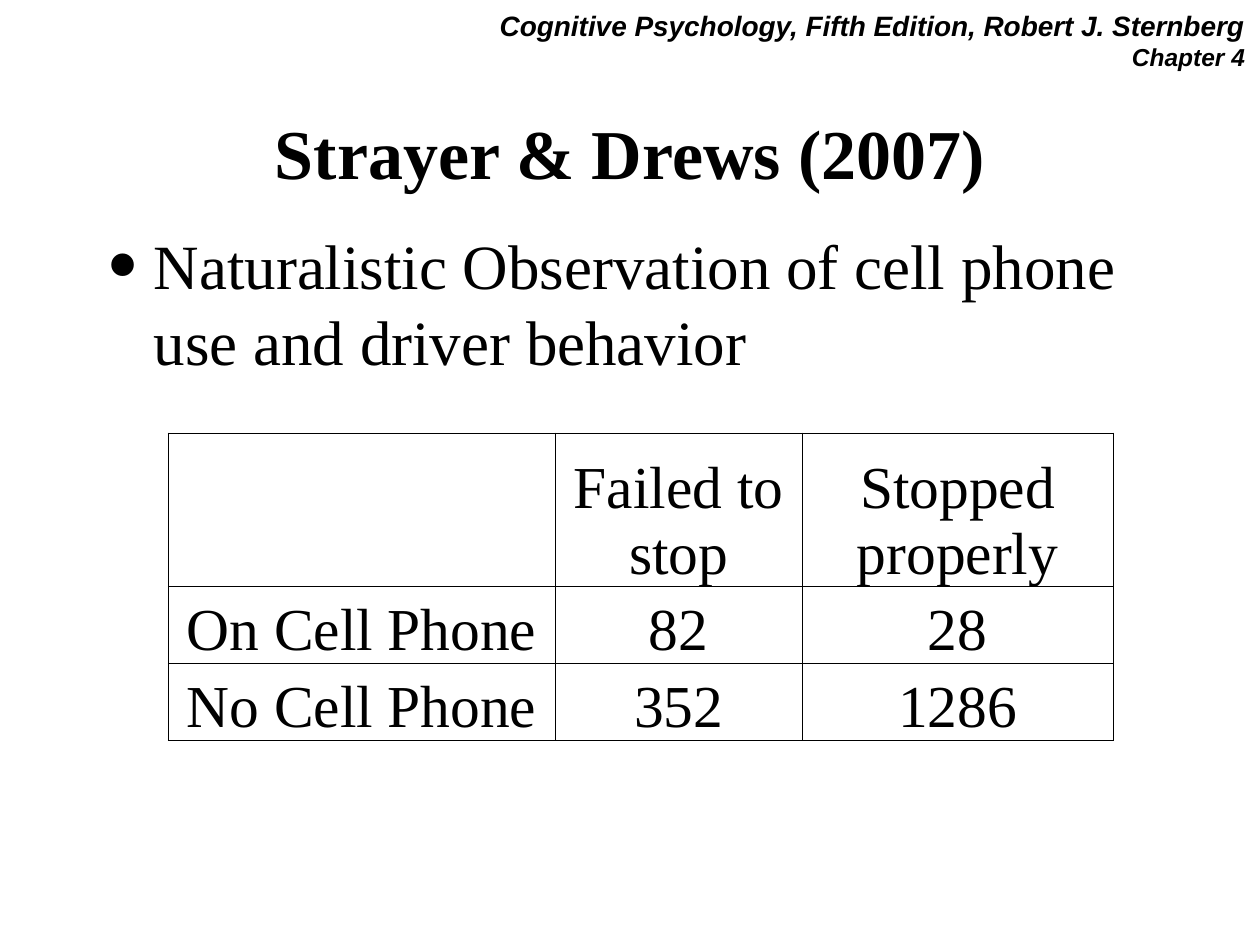
from pptx import Presentation, util as u
from pptx.dml.color import RGBColor
from pptx.enum import text
from pptx.oxml import parse_xml
from pptx.oxml.ns import nsdecls

BLACK = RGBColor(0, 0, 0)
SERIF = "Times New Roman"
ALIGN = text.PP_ALIGN
ANCHOR = text.MSO_ANCHOR


def write(para, words, size, align, face=SERIF, **marks):
    """Put one styled run into a paragraph."""
    para.alignment = align
    run = para.add_run()
    run.text = words
    look = {"name": face, "size": u.Pt(size), **marks}
    for key, val in look.items():
        setattr(run.font, key, val)
    run.font.color.rgb = BLACK


def frame(left, top, width, height, anchor=ANCHOR.TOP):
    """Add a wrapping text box and return its text frame."""
    box = slide.shapes.add_textbox(u.Cm(left), u.Cm(top), u.Cm(width), u.Cm(height))
    box.text_frame.word_wrap = True
    box.text_frame.vertical_anchor = anchor
    return box.text_frame


deck = Presentation()
deck.slide_width, deck.slide_height = u.Cm(25.4), u.Cm(19.05)
slide = deck.slides.add_slide(deck.slide_layouts[6])

# Running head
head = frame(0.15, 0.05, 25.2, 1.7)
slant = {"face": "Arial", "bold": True, "italic": True}
write(head.paragraphs[0], "Cognitive Psychology, Fifth Edition, Robert J. Sternberg",
      16, ALIGN.RIGHT, **slant)
write(head.add_paragraph(), "Chapter 4", 14, ALIGN.RIGHT, **slant)

# Title
title = frame(1.9, 2.11, 21.6, 1.9, ANCHOR.MIDDLE)
write(title.paragraphs[0], "Strayer & Drews (2007)", 40, ALIGN.CENTER, bold=True)

# Bullet
body = frame(1.9, 4.45, 21.6, 12.7)
point = body.paragraphs[0]
write(point, "Naturalistic Observation of cell phone use and driver behavior",
      36, ALIGN.LEFT)
props = point._p.get_or_add_pPr()
props.set("marL", str(u.Cm(0.95)))
props.set("indent", str(u.Cm(-0.95)))
for xml in (
    '<a:spcBef %s><a:spcPct val="20000"/></a:spcBef>',
    '<a:buSzPct %s val="150000"/>',
    '<a:buFont %s typeface="Times New Roman"/>',
    '<a:buChar %s char="&#8226;"/>',
):
    props.append(parse_xml(xml % nsdecls("a")))

# Table of counts
ROWS = [
    ["", "Failed to stop", "Stopped properly"],
    ["On Cell Phone", "82", "28"],
    ["No Cell Phone", "352", "1286"],
]
WIDE = [7.8, 4.98, 6.27]
TALL = [3.1, 1.55, 1.55]
grid = slide.shapes.add_table(3, 3, u.Cm(3.39), u.Cm(8.73),
                              u.Cm(sum(WIDE)), u.Cm(sum(TALL))).table
grid.first_row = grid.horz_banding = False
for col, wide in zip(grid.columns, WIDE):
    col.width = u.Cm(wide)
for row, tall, line in zip(grid.rows, TALL, ROWS):
    row.height = u.Cm(tall)
    for cell, words in zip(row.cells, line):
        form = {"vertical_anchor": ANCHOR.BOTTOM, "margin_left": u.Cm(0.03),
                "margin_right": u.Cm(0.03), "margin_top": u.Cm(0.03),
                "margin_bottom": 0}
        for key, val in form.items():
            setattr(cell, key, val)
        if words:
            write(cell.text_frame.paragraphs[0], words, 34, ALIGN.CENTER)
        edges = cell._tc.get_or_add_tcPr()
        for side in ("lnL", "lnR", "lnT", "lnB"):
            edges.append(parse_xml(
                f'<a:{side} {nsdecls("a")} w="{u.Pt(0.5)}"><a:solidFill>'
                f'<a:srgbClr val="{BLACK}"/></a:solidFill></a:{side}>'))
        cell.fill.background()

deck.save("out.pptx")
